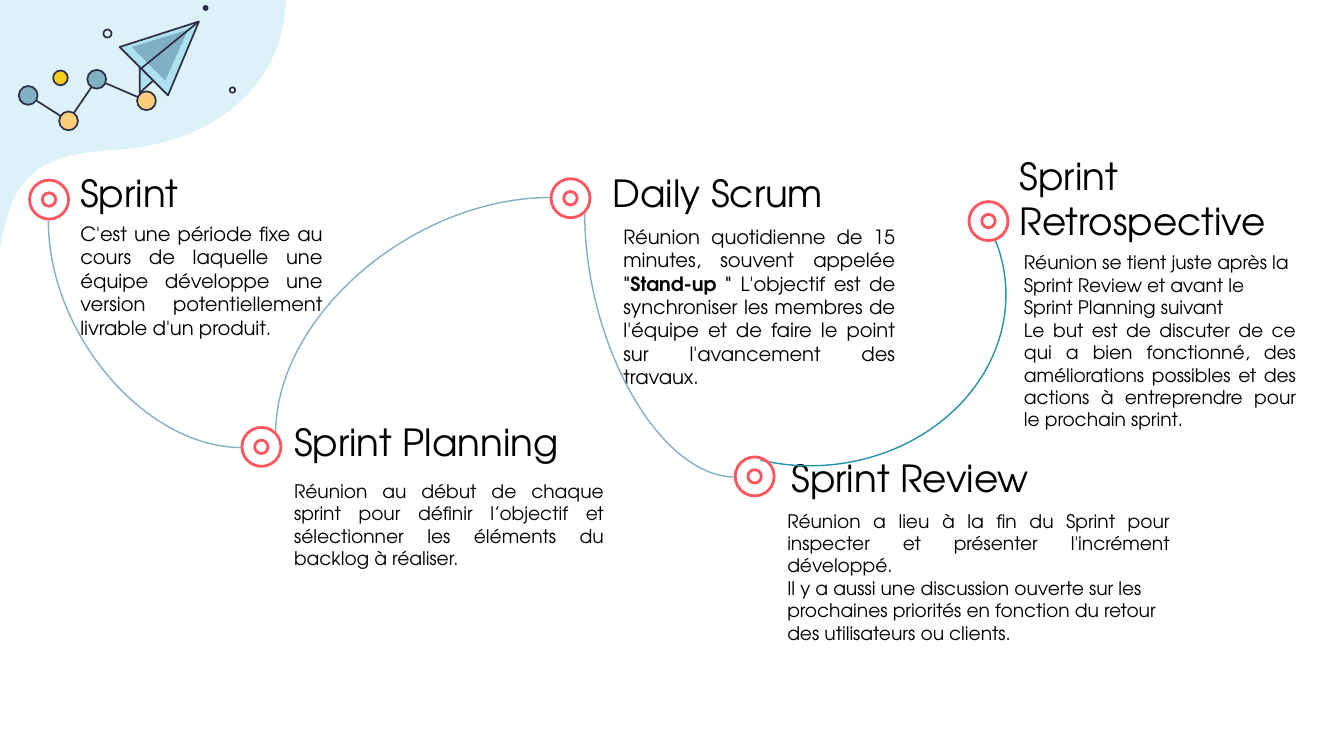
from lxml.etree import SubElement
from pptx import Presentation
from pptx.dml.color import RGBColor
from pptx.enum.shapes import MSO_CONNECTOR, MSO_SHAPE
from pptx.enum.text import MSO_ANCHOR, PP_ALIGN
from pptx.oxml.ns import qn
from pptx.util import Cm, Pt

COLORS = {
    "ink": "2D2D48", "sky": "AFE2EF", "steel": "81B0C5", "gold": "FFCF7B",
    "yellow": "F5CE19", "mist": "EAF0F6", "ring": "FF555E", "teal": "2390AC",
    "text": "000000",
}
FONT = "TeX Gyre Adventor"
J, L = PP_ALIGN.JUSTIFY, PP_ALIGN.LEFT

# Content: positions are in inches, converted by size()
HEADING = {"pt": 20, "anchor": MSO_ANCHOR.BOTTOM, "inset": 0.1}
BODY = {"pt": 10, "anchor": MSO_ANCHOR.TOP, "inset": 0.1}
LARGE_BODY = BODY | {"pt": 10.5}
SIDE_HEADING = HEADING | {"anchor": MSO_ANCHOR.TOP, "inset": 0.05}
SIDE_BODY = BODY | {"inset": 0.05}

# (left, top, width, height), style, paragraphs as (alignment, [(text, bold)])
TEXTS = [
    ((0.5, 1.25, 2.5, 0.45), HEADING, [(L, [("Sprint", False)])]),
    ((0.5, 1.55, 2, 1.06), LARGE_BODY, [(J, [
        ("C'est une période fixe au cours de laquelle une équipe développe une "
         "version potentiellement livrable d'un produit.", False)])]),
    ((2.09, 3.1, 2.5, 0.45), HEADING, [(L, [("Sprint Planning", False)])]),
    ((2.09, 3.47, 2.5, 0.94), BODY, [(J, [
        ("Réunion au début de chaque sprint pour définir l’objectif et "
         "sélectionner les éléments du backlog à réaliser.", False)])]),
    ((4.46, 1.25, 2.5, 0.45), HEADING, [(L, [("Daily Scrum", False)])]),
    ((4.54, 1.57, 2.22, 1.19), LARGE_BODY, [(J, [
        ("Réunion quotidienne de 15 minutes, souvent appelée ", False),
        ('"Stand-up " ', True),
        ("L'objectif est de synchroniser les membres de l'équipe et de faire le "
         "point sur l'avancement des travaux.", False)])]),
    ((5.79, 3.37, 2.39, 0.45), HEADING, [(L, [("Sprint Review", False)])]),
    ((5.76, 3.69, 3.04, 1.36), BODY, [
        (J, [("Réunion a lieu à la fin du Sprint pour inspecter et présenter "
              "l'incrément développé.", False)]),
        (L, [("Il y a aussi une discussion ouverte sur les prochaines priorités "
              "en fonction du retour des utilisateurs ou clients.", False)])]),
    ((7.49, 1.09, 2.12, 1.11), SIDE_HEADING, [(L, [("Sprint Retrospective", False)])]),
    ((7.52, 1.82, 2.22, 1.45), SIDE_BODY, [
        (L, [("Réunion se tient juste après la Sprint Review et avant le Sprint "
              "Planning suivant", False)]),
        (J, [("Le but est de discuter de ce qui a bien fonctionné, des "
              "améliorations possibles et des actions à entreprendre pour le "
              "prochain sprint.", False)])]),
]
RING_DIAMETERS = (0.29, 0.1)
RING_CORNERS = [(0.22, 1.34), (1.8, 3.18), (4.1, 1.33), (5.47, 3.4), (7.21, 1.5)]
CURVES = [((0.36, 1.64), (1.8, 3.33)), ((2.05, 3.23), (4.1, 1.47)),
          ((4.35, 1.58), (5.47, 3.55))]

# Corner blob: start point, then cubic segments
BLOB_START = (-2.04, -1.52)
BLOB = [
    ((-2.35, -1.41), (-2.56, -1.21), (-2.66, -0.98)),
    ((-2.83, -0.57), (-2.77, -0.02), (-2.04, 0.59)),
    ((-1.54, 1.01), (-1.45, 1.33), (-1.33, 1.87)),
    ((-1.22, 2.41), (-1.04, 2.61), (-0.8, 2.66)),
    ((-0.7, 2.69), (-0.59, 2.68), (-0.49, 2.65)),
    ((-0.28, 2.58), (-0.09, 2.37), (-0.03, 2.03)),
    ((0.04, 1.64), (0.06, 1.31), (0.45, 1.18)),
    ((0.54, 1.15), (0.66, 1.13), (0.8, 1.12)),
    ((0.99, 1.11), (1.16, 1.08), (1.32, 1.03)),
    ((1.75, 0.88), (2.03, 0.58), (2.11, 0.18)),
    ((2.21, -0.36), (1.96, -1.18), (1.31, -1.34)),
    ((0.65, -1.51), (0.28, -1.03), (-0.77, -1.42)),
    ((-1.29, -1.62), (-1.72, -1.62), BLOB_START),
]

# Illustration: nodes and dots as (center x, center y, diameter, fill)
NODES = [(0.21, 0.71, 0.14, "steel"), (0.51, 0.9, 0.14, "gold"),
         (0.72, 0.59, 0.14, "steel"), (1.09, 0.75, 0.14, "gold")]
DOTS = [(1.73, 0.67, 0.04, "mist"), (1.53, 0.06, 0.03, "ink"),
        (0.8, 0.25, 0.06, None), (0.45, 0.58, 0.11, "yellow")]
PLANE = [  # points, fill, line
    ([(1.48, 0.16), (0.89, 0.35), (1.25, 0.71)], "sky", "ink"),
    ([(1.4, 0.22), (0.98, 0.35), (1.23, 0.6)], "steel", None),
    ([(1.04, 0.5), (1.04, 0.69), (1.14, 0.6)], "sky", "ink"),
    ([(1.48, 0.16), (1.05, 0.51)], None, "ink"),
]


def size(inches):
    return Cm(inches * 2.54)


def color(name):
    return RGBColor.from_string(COLORS[name])


def paint(shape, fill=None, line=None, width=0.9):
    shape.shadow.inherit = False
    if fill:
        shape.fill.solid()
        shape.fill.fore_color.rgb = color(fill)
    else:
        shape.fill.background()
    if line:
        shape.line.color.rgb = color(line)
        shape.line.width = Pt(width)
    else:
        shape.line.fill.background()
    return shape


def add_circle(parent, x, y, diameter, fill=None, line="ink", width=0.9):
    box = (x - diameter / 2, y - diameter / 2, diameter, diameter)
    circle = parent.shapes.add_shape(MSO_SHAPE.OVAL, *map(size, box))
    return paint(circle, fill, line, width)


def add_outline(parent, points, fill=None, line=None):
    spots = [(size(x), size(y)) for x, y in points]
    builder = parent.shapes.build_freeform(*spots[0])
    builder.add_line_segments(spots[1:], close=fill is not None)
    return paint(builder.convert_to_shape(), fill, line)


def smooth_points(start, segments, steps=12):
    points = [start]
    for a, b, c in segments:
        o = points[-1]
        for step in range(1, steps + 1):
            t = step / steps
            u = 1 - t
            points.append(tuple(u**3 * o[i] + 3 * u * u * t * a[i]
                                + 3 * u * t * t * b[i] + t**3 * c[i] for i in (0, 1)))
    return points


def add_curve(page, start, end):
    """Quarter curve leaving vertically: a turned box around the same center."""
    dx, dy = end[0] - start[0], end[1] - start[1]
    x, y = (start[0] + end[0]) / 2, (start[1] + end[1]) / 2
    half_w, half_h = abs(dy) / 2, (dx if dy > 0 else -dx) / 2
    ends = (x + half_w, y - half_h, x - half_w, y + half_h)
    curve = page.shapes.add_connector(MSO_CONNECTOR.CURVE, *map(size, ends))
    curve.line.color.rgb = color("steel")
    curve.line.width = Pt(0.75)
    properties = curve._element.spPr
    properties.find(qn("a:xfrm")).set("rot", str((270 if dy > 0 else 90) * 60000))
    properties.find(qn("a:prstGeom")).set("prst", "curvedConnector2")
    SubElement(properties, qn("a:effectLst"))


def add_text(page, place, style, paragraphs):
    frame = page.shapes.add_textbox(*map(size, place)).text_frame
    inset = size(style["inset"])
    frame_format = {"word_wrap": True, "vertical_anchor": style["anchor"],
                    "margin_left": size(0.1), "margin_right": size(0.1),
                    "margin_top": inset, "margin_bottom": inset}
    for name, value in frame_format.items():
        setattr(frame, name, value)
    for index, (alignment, spans) in enumerate(paragraphs):
        para = frame.add_paragraph() if index else frame.paragraphs[0]
        para.alignment = alignment
        for text, bold in spans:
            span = para.add_run()
            span.text = text
            span.font.color.rgb = color("text")
            for name, value in {"name": FONT, "size": Pt(style["pt"]), "bold": bold}.items():
                setattr(span.font, name, value)


# Widescreen page, 16 to 9
deck = Presentation()
deck.slide_width = size(10)
deck.slide_height = deck.slide_width * 9 // 16
page = deck.slides.add_slide(deck.slide_layouts[6])

# Corner blob, partly transparent
blob = add_outline(page, smooth_points(BLOB_START, BLOB), "sky")
tint = blob._element.spPr.find(qn("a:solidFill"))[0]
SubElement(tint, qn("a:alpha"), val="42000")

# Paper plane with its trail of nodes
art = page.shapes.add_group_shape()
add_outline(art, [node[:2] for node in NODES], line="ink")
for node in NODES:
    add_circle(art, *node)
for part in PLANE:
    add_outline(art, *part)
for dot in DOTS:
    add_circle(art, *dot)

# Texts
for entry in TEXTS:
    add_text(page, *entry)

# Path between the steps
for ends in CURVES:
    add_curve(page, *ends)
arc = page.shapes.add_shape(MSO_SHAPE.ARC, *map(size, (4.8, 0.78, 2.5, 2.87)))
arc.rotation = 86.5
arc.adjustments[0], arc.adjustments[1] = 153.25, 12.87
paint(arc, line="teal", width=0.75)

# Step markers: two rings around one center
radius = RING_DIAMETERS[0] / 2
for left, top in RING_CORNERS:
    marker = page.shapes.add_group_shape()
    for diameter in RING_DIAMETERS:
        add_circle(marker, left + radius, top + radius, diameter, line="ring", width=1.5)

deck.save("out.pptx")
